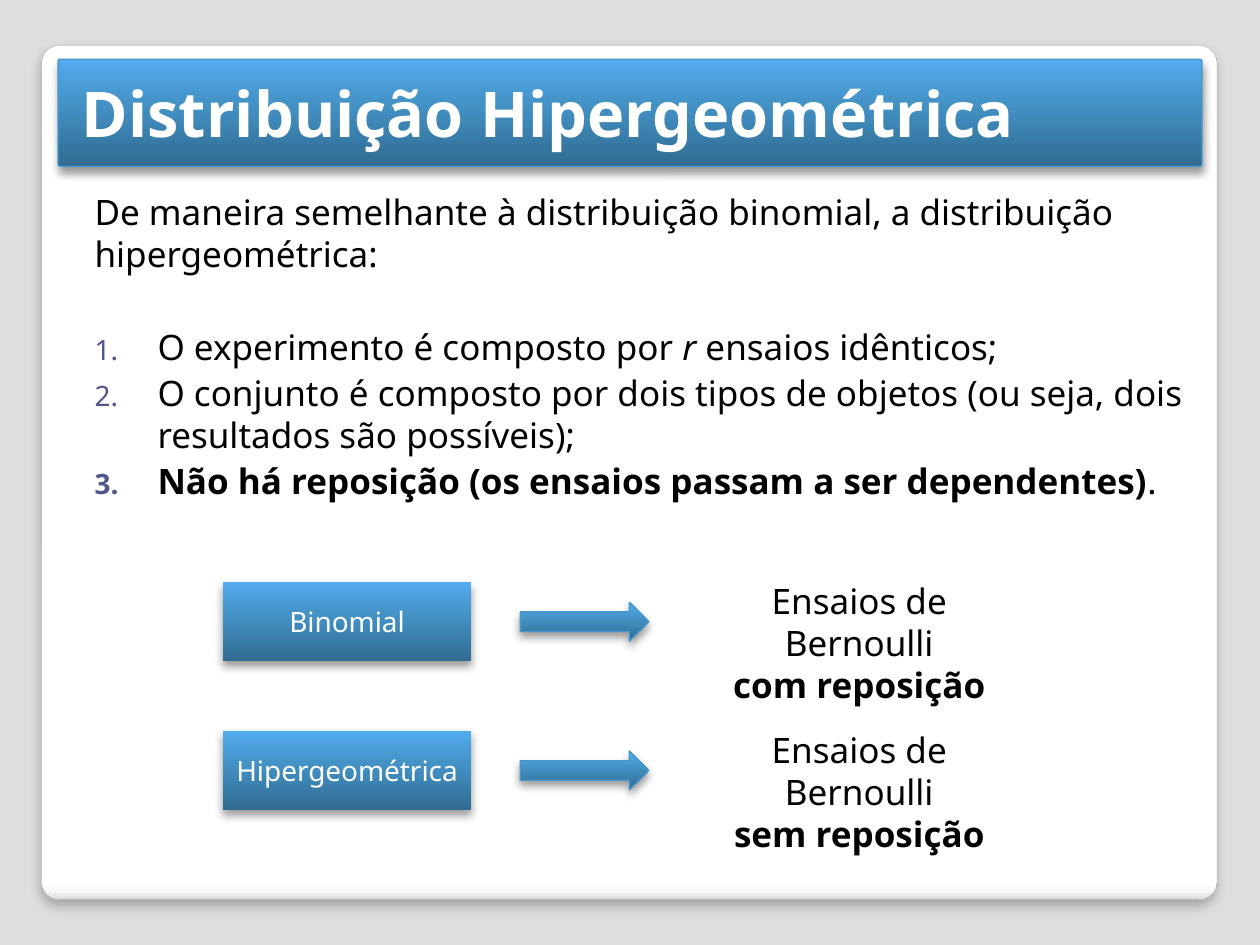
from dataclasses import dataclass

from pptx import Presentation
from pptx.dml.color import RGBColor
from pptx.enum.shapes import MSO_SHAPE
from pptx.enum.text import MSO_ANCHOR, PP_ALIGN
from pptx.oxml import parse_xml
from pptx.oxml.ns import qn
from pptx.util import Inches, Pt

RECT, ROUNDED = MSO_SHAPE.RECTANGLE, MSO_SHAPE.ROUNDED_RECTANGLE
ARROW = MSO_SHAPE.RIGHT_ARROW
LEFT, CENTER = PP_ALIGN.LEFT, PP_ALIGN.CENTER
TOP, MIDDLE = MSO_ANCHOR.TOP, MSO_ANCHOR.MIDDLE
NS = 'xmlns:a="http://schemas.openxmlformats.org/drawingml/2006/main"'


@dataclass(frozen=True)
class Theme:
    font: str = "Noto Sans"
    background: str = "DEDEDE"
    text: str = "000000"
    light: str = "FFFFFF"
    bullet: str = "53548A"
    panel_line: str = "A4A4A4"
    blue_line: str = "4697CB"
    # Gradient stops, then the angle in degrees
    panel: tuple = (((0, "FFFFFF"), (98, "FFFFFF"), (99, "F7F7F7"), (100, "DADADA")), 90)
    blue: tuple = (((0, "306B91"), (60, "4493C7"), (100, "53ACF0")), 270)
    # Shadow opacity, blur and distance
    panel_shadow: tuple = (25, 6, 4)
    blue_shadow: tuple = (40, 5.2, 3)
    title_size: int = 36
    body_size: int = 20
    label_size: int = 16
    line_pitch: int = 24
    space_before: float = 2.5


T = Theme()


def inches(box):
    return [Inches(v) for v in box]


def write(tf, paragraphs, size=T.body_size, color=T.text, align=LEFT, anchor=TOP,
          bold=False, wrap=True, pitch=None, before=0):
    """Each paragraph is a list of (text, style) runs; style holds "b" and "i"."""
    tf.word_wrap, tf.vertical_anchor = wrap, anchor
    for n, runs in enumerate(paragraphs):
        p = tf.paragraphs[0] if n == 0 else tf.add_paragraph()
        p.alignment, p.space_before = align, Pt(before)
        if pitch:
            p.line_spacing = Pt(pitch)
        for text, style in runs:
            if text == "\n":
                p.add_line_break()
                continue
            r = p.add_run()
            r.text = text
            f = r.font
            f.name, f.size, f.color.rgb = T.font, Pt(size), RGBColor.from_string(color)
            f.bold, f.italic = bold or "b" in style, "i" in style


def add_glossy(s, kind, box, gradient, shadow, line=None, width=0.75, corner=None):
    sp = s.shapes.add_shape(kind, *inches(box))
    if corner is not None:
        sp.adjustments[0] = corner
    if line:
        sp.line.color.rgb, sp.line.width = RGBColor.from_string(line), Pt(width)
    else:
        sp.line.fill.background()
    # Gradient
    stops, angle = gradient
    sp.fill.gradient()
    grad = sp._element.spPr.find(qn("a:gradFill"))
    stops_xml = "".join(f'<a:gs pos="{pos * 1000}"><a:srgbClr val="{color}"/></a:gs>'
                        for pos, color in stops)
    grad.getparent().replace(grad, parse_xml(
        f'<a:gradFill {NS} rotWithShape="1"><a:gsLst>{stops_xml}</a:gsLst>'
        f'<a:lin ang="{angle * 60000}" scaled="0"/></a:gradFill>'))
    # Shadow straight below
    opacity, blur, dist = shadow
    sp.shadow.inherit = False
    sp._element.spPr.find(qn("a:effectLst")).append(parse_xml(
        f'<a:outerShdw {NS} blurRad="{Pt(blur)}" dist="{Pt(dist)}" dir="5400000" '
        f'algn="t" rotWithShape="0"><a:srgbClr val="000000">'
        f'<a:alpha val="{opacity * 1000}"/></a:srgbClr></a:outerShdw>'))
    return sp


def number(p, indent):
    pPr = p._p.get_or_add_pPr()
    pPr.set("marL", str(Inches(indent)))
    pPr.set("indent", str(-Inches(indent)))
    for xml in (f'<a:buClr {NS}><a:srgbClr val="{T.bullet}"/></a:buClr>',
                f'<a:buSzPct {NS} val="80000"/>',
                f'<a:buFont {NS} typeface="{T.font}"/>',
                f'<a:buAutoNum {NS} type="arabicPeriod"/>'):
        pPr.append(parse_xml(xml))


def add_title(s, box, text):
    x, y, w, h = box
    add_glossy(s, ROUNDED, box, T.blue, T.blue_shadow, T.blue_line, corner=0.021)
    title = s.shapes.title
    title.left, title.top, title.width, title.height = inches((x + 0.09, y, w - 0.13, h))
    write(title.text_frame, [[(text, "")]], size=T.title_size, color=T.light,
          anchor=MIDDLE, bold=True)
    s.shapes._spTree.append(title._element)  # in front of its bar


def add_body(s, box, intro, points):
    tf = s.shapes.add_textbox(*inches(box)).text_frame
    tf.margin_left, tf.margin_top = Inches(0.2), Inches(0.1)
    write(tf, [intro, *points], pitch=T.line_pitch, before=T.space_before)
    for p in tf.paragraphs[1:]:
        number(p, 0.5)
    # One free line between the introduction and the list
    tf.paragraphs[1].space_before = Pt(2 * T.space_before + T.line_pitch)


def add_comparison(s, box, name, rule):
    x, y, w, h = box
    label = add_glossy(s, RECT, (x, y, 1.97, h), T.blue, T.blue_shadow)
    write(label.text_frame, [[(name, "")]], size=T.label_size, color=T.light,
          align=CENTER, anchor=MIDDLE, wrap=False)
    add_glossy(s, ARROW, (x + 2.36, y + (h - 0.31) / 2, 1.02, 0.31),
               T.blue, T.blue_shadow, T.blue_line)
    note = s.shapes.add_textbox(*inches((x + w - 2.68, y - 0.07, 2.68, 0.77)))
    write(note.text_frame, [[("Ensaios de Bernoulli", ""), ("\n", ""), (rule, "b")]],
          align=CENTER, pitch=T.line_pitch)


def build():
    prs = Presentation()
    prs.slide_width, prs.slide_height = Inches(10), Inches(7.5)
    s = prs.slides.add_slide(prs.slide_layouts[5])
    s.background.fill.solid()
    s.background.fill.fore_color.rgb = RGBColor.from_string(T.background)

    # Panel and title
    add_glossy(s, ROUNDED, (0.33, 0.36, 9.33, 6.78), T.panel, T.panel_shadow,
               T.panel_line, width=0.16, corner=0.021)
    add_title(s, (0.46, 0.47, 9.08, 0.85), "Distribuição Hipergeométrica")

    # Properties
    add_body(
        s, (0.55, 1.41, 8.95, 5.31),
        [("De maneira semelhante à distribuição binomial, a distribuição "
          "hipergeométrica:", "")],
        [[("O experimento é composto por ", ""), ("r", "i"), (" ensaios idênticos;", "")],
         [("O conjunto é composto por dois tipos de objetos (ou seja, dois "
           "resultados são possíveis);", "")],
         [("Não há reposição (os ensaios passam a ser dependentes)", "b"), (".", "")]])

    # Comparison rows
    rows = [("Binomial", "com reposição"), ("Hipergeométrica", "sem reposição")]
    for n, (name, rule) in enumerate(rows):
        add_comparison(s, (1.77, 4.62 + 1.18 * n, 6.39, 0.63), name, rule)

    prs.save("out.pptx")


build()
